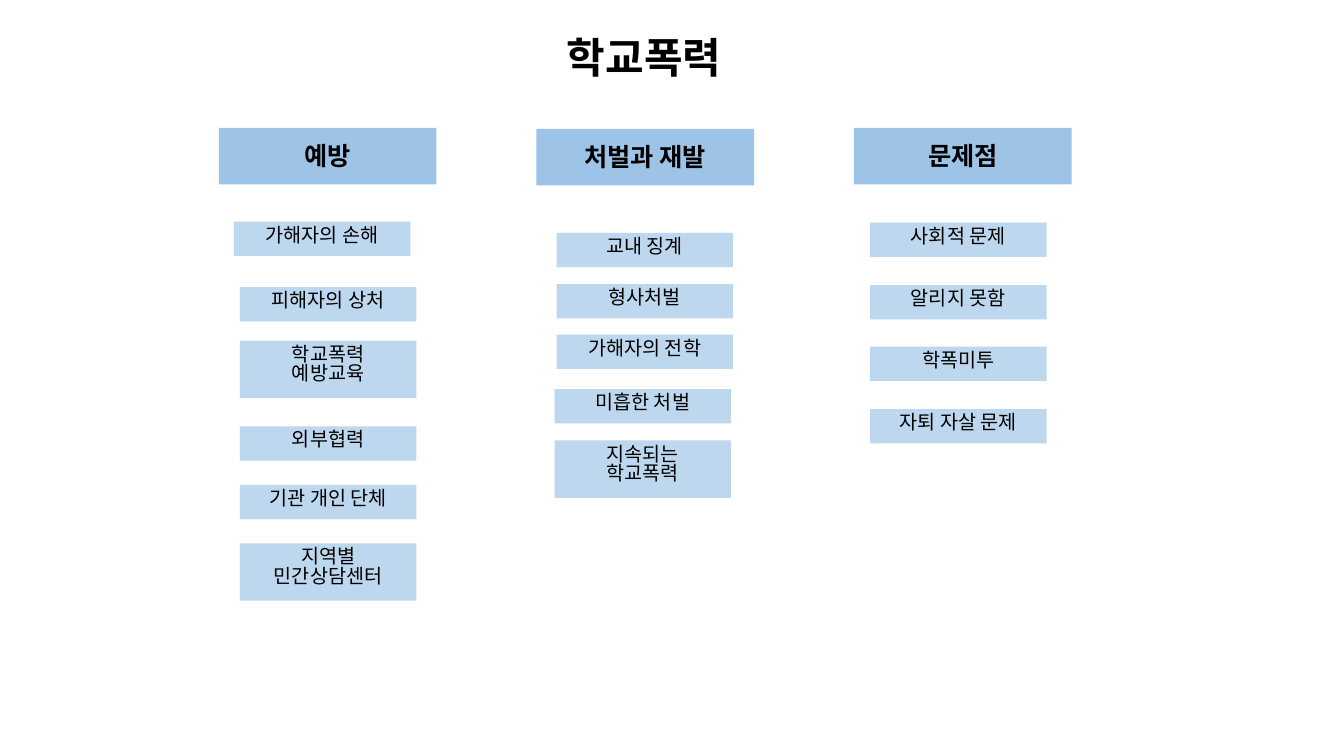
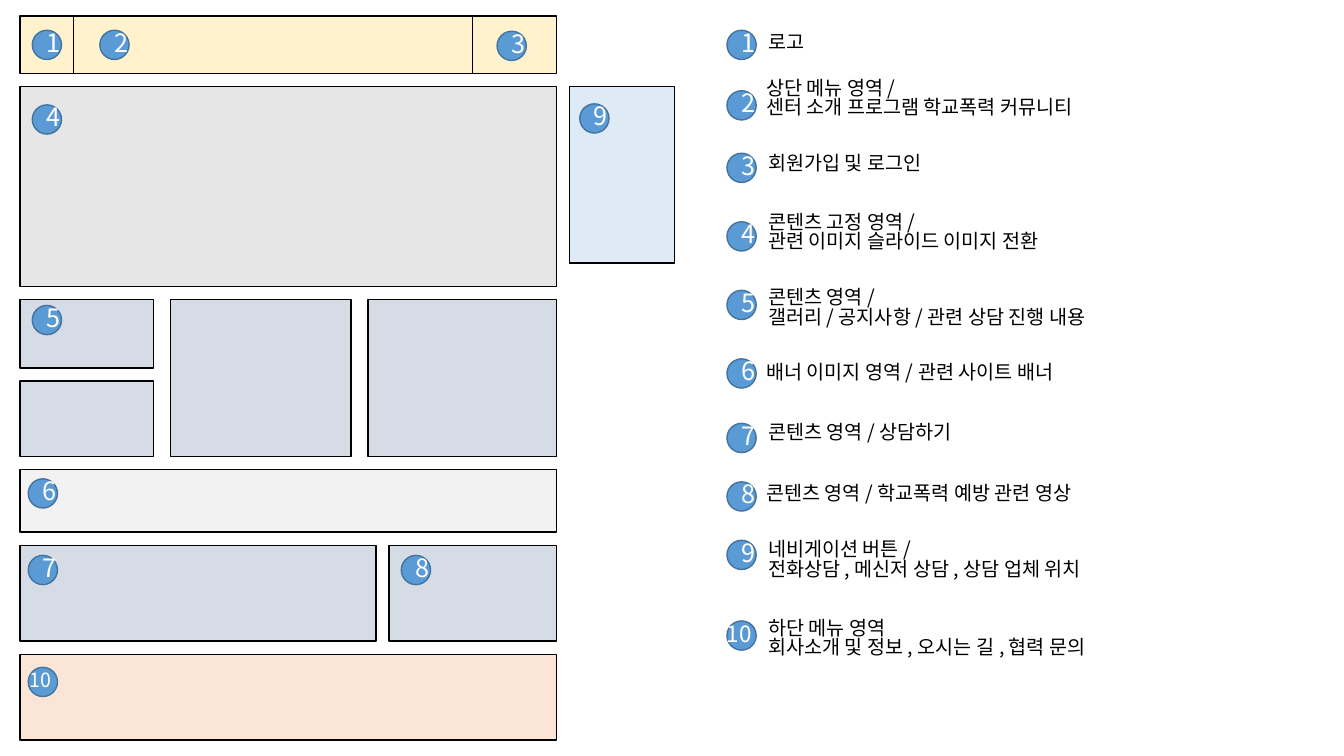
from dataclasses import dataclass
from pptx import Presentation
from pptx.dml.color import RGBColor
from pptx.enum.shapes import MSO_CONNECTOR, MSO_SHAPE
from pptx.enum.text import MSO_ANCHOR, PP_ALIGN
from pptx.oxml.ns import qn
from pptx.util import Inches, Pt
from lxml import etree

# Content: topic columns of (heading, top, [(indent, top, text)])
TITLE = "학교폭력"
TOPICS = [
    ("예방", 1.27, [
        (0.15, 2.2, "가해자의 손해"), (0.21, 2.85, "피해자의 상처"),
        (0.21, 3.38, "학교폭력\n예방교육"), (0.21, 4.23, "외부협력"),
        (0.21, 4.81, "기관 개인 단체"), (0.21, 5.39, "지역별\n민간상담센터")]),
    ("처벌과 재발", 1.28, [
        (0.2, 2.31, "교내 징계"), (0.2, 2.82, "형사처벌"),
        (0.2, 3.32, "가해자의 전학"), (0.18, 3.86, "미흡한 처벌"),
        (0.18, 4.37, "지속되는\n학교폭력")]),
    ("문제점", 1.27, [
        (0.16, 2.21, "사회적 문제"), (0.16, 2.83, "알리지 못함"),
        (0.16, 3.44, "학폭미투"), (0.16, 4.06, "자퇴 자살 문제")]),
]

# Page layout: bands of (height, fill, cells); a cell is (width, stacked heights, badges)
# and a badge is (number, right, down) from the corner of its cell
BANDS = [
    (0.57, "FFF2CC", [(5.32, [0.57], [(1, 0.12, 0.14), (2, 0.79, 0.14), (3, 4.73, 0.15)])]),
    (1.98, "E7E6E6", [(5.32, [1.98], [(4, 0.12, 0.18)])]),
    (1.56, "D6DCE5", [(1.32, [0.68, 0.75], [(5, 0.12, 0.06)]),
                      (1.79, [1.56], []), (1.87, [1.56], [])]),
    (0.62, "F2F2F2", [(5.32, [0.62], [(6, 0.08, 0.09)])]),
    (0.95, "D6DCE5", [(3.53, [0.95], [(7, 0.08, 0.1)]), (1.66, [0.95], [(8, 0.12, 0.1)])]),
    (0.85, "FBE5D6", [(5.32, [0.85], [(10, 0.08, 0.13)])]),
]
SIDE_PANEL = (1.04, 1.75, "DEEBF7", (9, 0.1, 0.17))
DIVIDERS = [0.53, 4.49]

# Legend: (badge top, text left, text top, text)
LEGEND = [
    (0.3, 7.52, 0.29, "로고"),
    (0.9, 7.5, 0.74, "상단 메뉴 영역 /\n센터 소개 프로그램 학교폭력 커뮤니티"),
    (1.52, 7.52, 1.49, "회원가입 및 로그인"),
    (2.2, 7.52, 2.07, "콘텐츠 고정 영역 /\n관련 이미지 슬라이드 이미지 전환"),
    (2.88, 7.52, 2.82, "콘텐츠 영역 /\n갤러리 / 공지사항 / 관련 상담 진행 내용"),
    (3.56, 7.5, 3.56, "배너 이미지 영역 / 관련 사이트 배너"),
    (4.2, 7.52, 4.16, "콘텐츠 영역 / 상담하기"),
    (4.78, 7.5, 4.76, "콘텐츠 영역 / 학교폭력 예방 관련 영상"),
    (5.36, 7.52, 5.32, "네비게이션 버튼 /\n전화상담 , 메신저 상담 , 상담 업체 위치"),
    (6.16, 7.52, 6.1, "하단 메뉴 영역\n회사소개 및 정보 , 오시는 길 , 협력 문의"),
]


@dataclass(frozen=True)
class Theme:
    font: str = "Noto Sans CJK KR"
    ink: str = "000000"
    light: str = "FFFFFF"
    heading: str = "9DC3E6"
    item: str = "BDD7EE"
    badge: str = "5B9BD5"
    badge_line: str = "43739E"
    title_size: int = 30
    large: int = 18
    medium: int = 16
    body: int = 14
    leading: float = 0.83


T = Theme()
LEFT, TOP, FULL, GAP = 0.2, 0.16, 5.32, 0.13
COL_LEFT, COL_STEP, COL_W, HEAD_H, ITEM_W = 2.17, 3.15, 2.16, 0.56, 1.75
BADGE, LEGEND_X, LEGEND_W = 0.29, 7.21, 4.96
rgb = RGBColor.from_string

prs = Presentation()
prs.slide_width, prs.slide_height = Inches(13.33), Inches(7.5)


def write(sp, text, size=T.body, color=T.ink, bold=False, align=PP_ALIGN.LEFT,
          anchor=MSO_ANCHOR.TOP, spacing=1.0, wrap=True):
    tf = sp.text_frame
    tf.word_wrap, tf.vertical_anchor = wrap, anchor
    for i, line in enumerate(text.split("\n")):
        p = tf.add_paragraph() if i else tf.paragraphs[0]
        p.alignment, p.line_spacing = align, round(spacing * T.leading, 2)
        p.space_before = Pt(0)
        r = p.add_run()
        r.text = line
        f = r.font
        f.name, f.size, f.bold, f.color.rgb = T.font, Pt(size), bold, rgb(color)
        east = etree.SubElement(r._r.get_or_add_rPr(), qn("a:ea"))
        east.set("typeface", T.font)
    return tf


def place(sp, *box):
    sp.left, sp.top, sp.width, sp.height = map(Inches, box)


def add_box(s, box, fill, line=None, shape=MSO_SHAPE.RECTANGLE):
    sp = s.shapes.add_shape(shape, *map(Inches, box))
    sp.shadow.inherit = False
    sp.fill.solid()
    sp.fill.fore_color.rgb = rgb(fill)
    if line:
        sp.line.color.rgb, sp.line.width = rgb(line), Pt(1)
    else:
        sp.line.fill.background()
    return sp


def add_badge(s, x, y, number, wide_size=T.body):
    sp = add_box(s, (x, y, BADGE, BADGE), T.badge, T.badge_line, MSO_SHAPE.OVAL)
    wide = number > 9
    tf = write(sp, str(number), size=wide_size if wide else T.large, color=T.light,
               align=PP_ALIGN.CENTER, anchor=MSO_ANCHOR.MIDDLE, wrap=False)
    tf.margin_top = tf.margin_bottom = 0
    # Single digits sit right of centre, two digits slightly left
    tf.margin_left, tf.margin_right = Inches(0 if wide else 0.13), Inches(0.05 if wide else 0)


def text_height(text):
    return 0.34 + 0.23 * text.count("\n")


def stack(start, sizes, gap=GAP):
    """Yield the start of each part in a row or column with equal gaps."""
    for size in sizes:
        yield start
        start += size + gap


# Slide 1: topics in three columns
s = prs.slides.add_slide(prs.slide_layouts[5])
title = s.shapes.title
place(title, 5.45, 0.35, 1.88, 0.61)
write(title, TITLE, size=T.title_size, bold=True, align=PP_ALIGN.CENTER)
for col, (heading, top, items) in enumerate(TOPICS):
    x = COL_LEFT + col * COL_STEP
    sp = add_box(s, (x, top, COL_W, HEAD_H), T.heading)
    write(sp, heading, size=T.large, bold=True, align=PP_ALIGN.CENTER, spacing=1.5)
    for indent, y, text in items:
        sp = add_box(s, (x + indent, y, ITEM_W, text_height(text)), T.item)
        write(sp, text, align=PP_ALIGN.CENTER)

# Slide 2: page layout
s = prs.slides.add_slide(prs.slide_layouts[6])
badges = []
tops = list(stack(TOP, [band[0] for band in BANDS]))
for top, (_, fill, cells) in zip(tops, BANDS):
    widths = [cell[0] for cell in cells]
    gap = (FULL - sum(widths)) / max(len(cells) - 1, 1)
    for x, (w, heights, marks) in zip(stack(LEFT, widths, gap), cells):
        for y, h in zip(stack(top, heights), heights):
            add_box(s, (x, y, w, h), fill, T.ink)
        badges += [(x + dx, top + dy, n) for n, dx, dy in marks]

w, h, fill, (n, dx, dy) = SIDE_PANEL
x = LEFT + FULL + GAP
add_box(s, (x, tops[1], w, h), fill, T.ink)
badges.append((x + dx, tops[1] + dy, n))

for offset in DIVIDERS:
    x = Inches(LEFT + offset)
    line = s.shapes.add_connector(MSO_CONNECTOR.STRAIGHT, x, Inches(TOP),
                                  x, Inches(TOP + BANDS[0][0]))
    line.line.color.rgb, line.line.width = rgb(T.ink), Pt(0.5)
    etree.SubElement(line._element.spPr, qn("a:effectLst"))
for badge in badges:
    add_badge(s, *badge)

# Slide 2: legend
for n, (badge_y, x, y, text) in enumerate(LEGEND, 1):
    add_badge(s, LEGEND_X, badge_y, n, wide_size=T.medium)
    sp = s.shapes.add_textbox(*map(Inches, (x, y, LEGEND_W, text_height(text))))
    write(sp, text)

prs.save("out.pptx")
